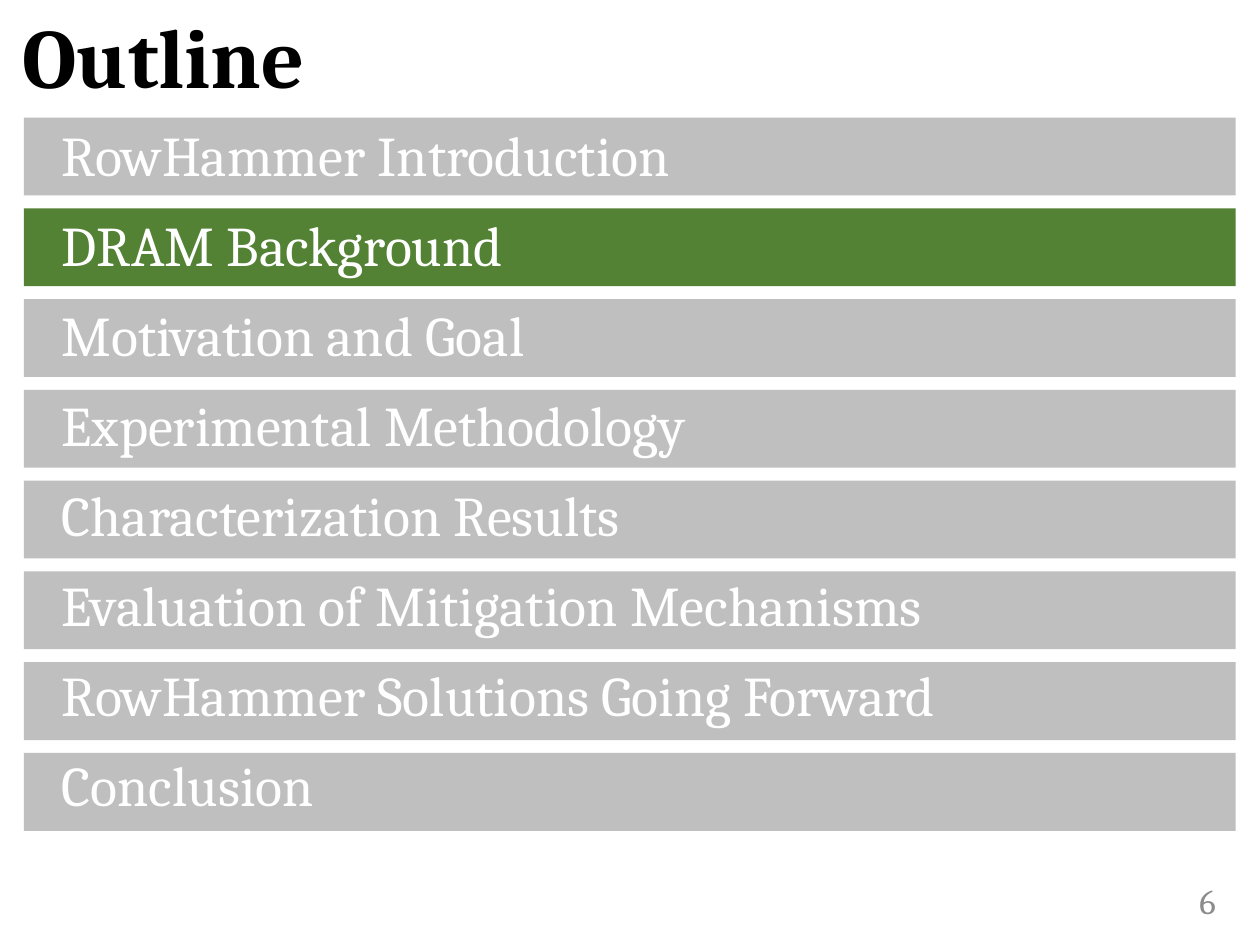
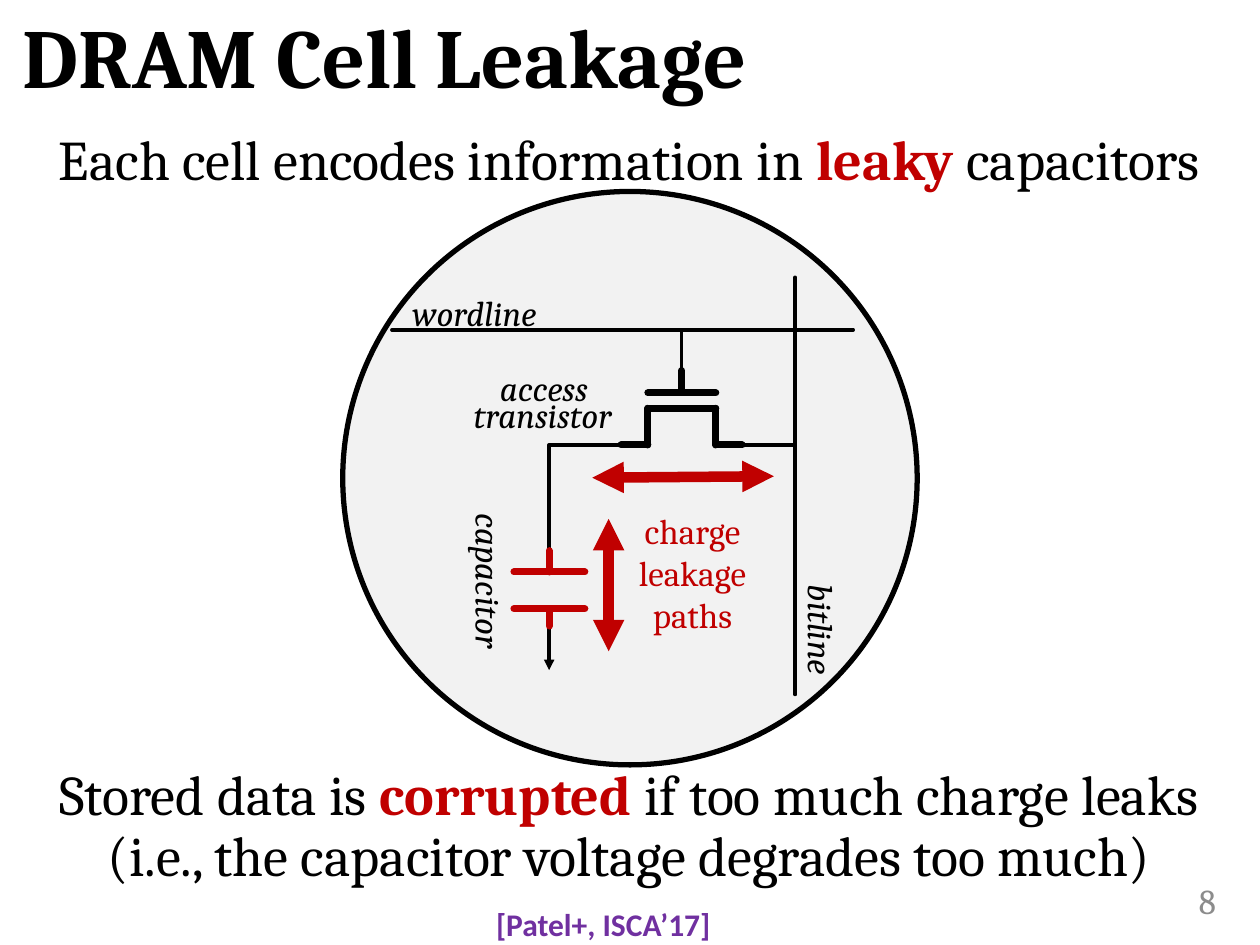
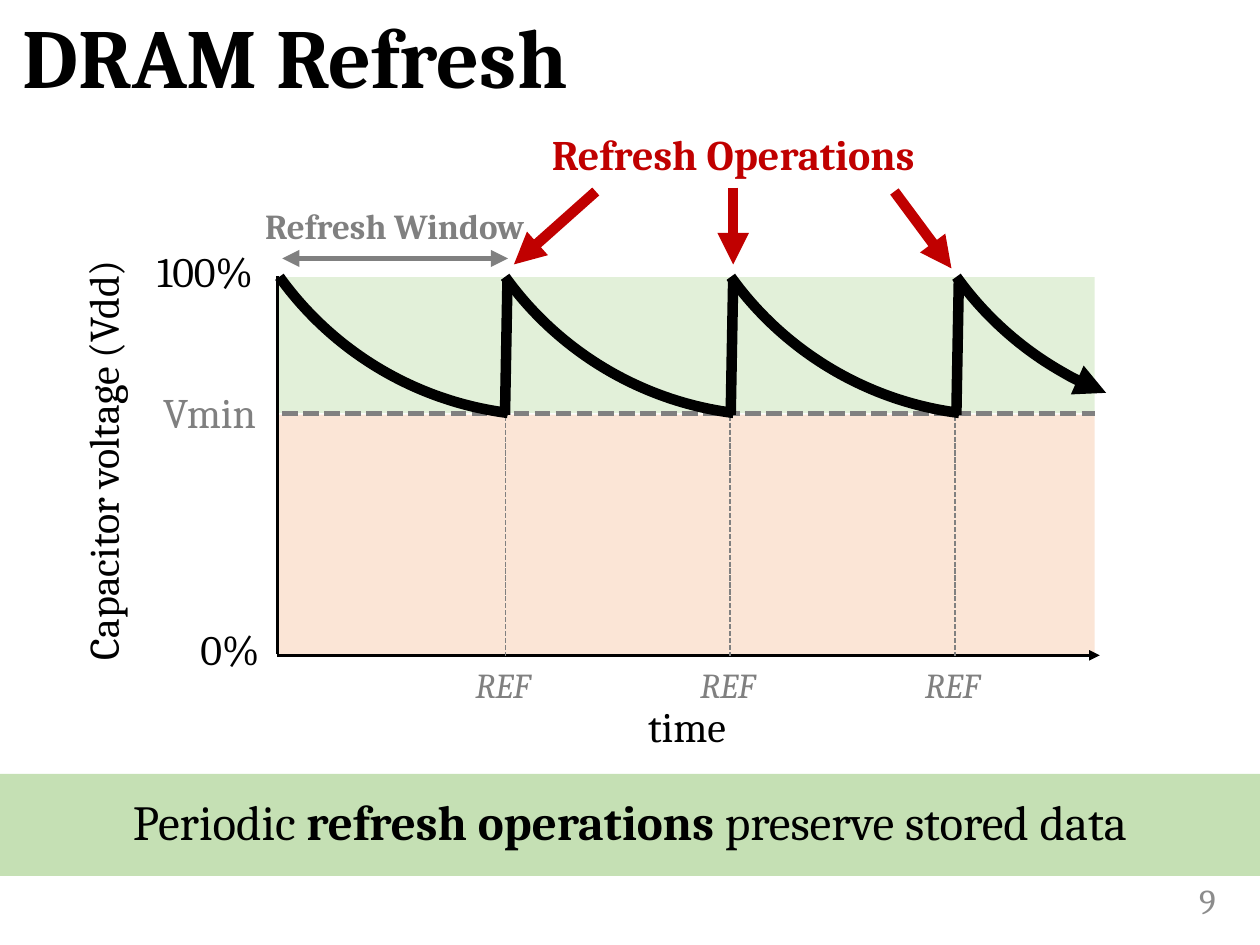
from lxml.etree import SubElement
from pptx import Presentation
from pptx.dml.color import RGBColor
from pptx.enum.dml import MSO_LINE
from pptx.enum.shapes import MSO_CONNECTOR, MSO_SHAPE as SHAPE
from pptx.enum.text import MSO_ANCHOR as ANCHOR, MSO_AUTO_SIZE, PP_ALIGN as ALIGN
from pptx.oxml.ns import qn
from pptx.oxml.xmlchemy import OxmlElement
from pptx.util import Cm, Pt

BLACK = RGBColor(0, 0, 0)
WHITE = RGBColor(255, 255, 255)
RED = RGBColor(0xC0, 0, 0)
PURPLE = RGBColor(0x70, 0x30, 0xA0)
GRAY = RGBColor(0x80, 0x80, 0x80)
NUMBER_GRAY = RGBColor(0x8C, 0x8C, 0x8C)
BAR_GRAY = RGBColor(0xBF, 0xBF, 0xBF)
CIRCLE_GRAY = RGBColor(0xF2, 0xF2, 0xF2)
GREEN = RGBColor(0x53, 0x82, 0x34)
SAFE_GREEN = RGBColor(0xE2, 0xF0, 0xD9)
BAND_GREEN = RGBColor(0xC5, 0xE0, 0xB4)
PEACH = RGBColor(0xFB, 0xE5, 0xD6)


def write(box, text, size, color=BLACK, accent=BLACK, bold=False, italic=False,
          align=ALIGN.CENTER, anchor=ANCHOR.MIDDLE, wrap=False, spacing=1.0,
          gap=0, font="Cambria"):
    frame = box.text_frame
    frame.text = text
    frame.word_wrap = wrap
    frame.auto_size = MSO_AUTO_SIZE.NONE
    frame.vertical_anchor = anchor
    for index, para in enumerate(frame.paragraphs):
        first, *rest = para.text.split("|")
        para.text = first
        for part in rest:
            para.add_run().text = part
        para.alignment = align
        para.line_spacing = spacing
        para.space_before = Pt(gap if index else 0)
        for position, span in enumerate(para.runs):
            emphasized = position % 2 == 1
            span.font.name = font
            span.font.size = Pt(size)
            span.font.bold = bold or emphasized
            span.font.italic = italic
            span.font.color.rgb = accent if emphasized else color


def add_line(page, points, color, width, ends=(), dash=None, cap="flat"):
    line = page.shapes.add_connector(MSO_CONNECTOR.STRAIGHT, *map(Cm, points))
    line.line.color.rgb = color
    line.line.width = Pt(width)
    if dash:
        line.line.dash_style = dash
    outline = line.element.spPr.find(qn("a:ln"))
    outline.set("cap", cap)
    for end in ends:
        SubElement(outline, qn(end)).set("type", "triangle")
    SubElement(line.element.spPr, qn("a:effectLst"))
    return line


deck = Presentation()
deck.slide_width = Cm(25.4)
deck.slide_height = Cm(19.05)

body_level = deck.slide_master.element.find(f".//{qn('p:bodyStyle')}/{qn('a:lvl1pPr')}")
body_level.set("marL", "0")
body_level.set("indent", "0")
body_level.replace(body_level.find(qn("a:buChar")), OxmlElement("a:buNone"))

TAIL = ["a:tailEnd"]
BOTH = ["a:headEnd", "a:tailEnd"]
pages = []
for title, number, layout in [
    ("Outline", "6", 1),
    ("DRAM Cell Leakage", "8", 1),
    ("DRAM Refresh", "9", 5),
]:
    page = deck.slides.add_slide(deck.slide_layouts[layout])
    heading = page.shapes.title
    heading.left, heading.top, heading.width, heading.height = map(Cm, (0.2, 0.2, 24.97, 2.06))
    write(heading, title, 48, bold=True, align=ALIGN.LEFT, anchor=ANCHOR.TOP,
          wrap=True, spacing=0.9)
    box = page.shapes.add_textbox(Cm(22.02), Cm(17.65), Cm(2.74), Cm(1.02))
    write(box, number, 20, NUMBER_GRAY, align=ALIGN.RIGHT, wrap=True)
    pages.append(page)
outline_page, leakage_page, refresh_page = pages

topics = [
    "RowHammer Introduction",
    "DRAM Background",
    "Motivation and Goal",
    "Experimental Methodology",
    "Characterization Results",
    "Evaluation of Mitigation Mechanisms",
    "RowHammer Solutions Going Forward",
    "Conclusion",
]
for row, topic in enumerate(topics):
    bar = outline_page.shapes.add_shape(
        SHAPE.RECTANGLE, Cm(0.48), Cm(2.37 + 1.83 * row), Cm(24.43), Cm(1.57))
    bar.shadow.inherit = False
    bar.fill.solid()
    bar.fill.fore_color.rgb = GREEN if topic == "DRAM Background" else BAR_GRAY
    bar.line.fill.background()
body = outline_page.placeholders[1]
body.left, body.top, body.width, body.height = map(Cm, (0.99, 2.31, 22.56, 14.78))
write(body, "\n".join(topics), 32, WHITE, align=ALIGN.LEFT, anchor=ANCHOR.TOP,
      wrap=True, gap=13)
outline_page.shapes.element.append(body.element)

circle = leakage_page.shapes.add_shape(SHAPE.OVAL, Cm(6.91), Cm(3.86), Cm(11.58), Cm(11.56))
circle.shadow.inherit = False
circle.fill.solid()
circle.fill.fore_color.rgb = CIRCLE_GRAY
circle.line.color.rgb = BLACK
circle.line.width = Pt(3)

body = leakage_page.placeholders[1]
body.left, body.top, body.width, body.height = map(Cm, (0.2, 2.54, 24.97, 1.73))
write(body, "Each cell encodes information in |leaky |capacitors", 32, accent=RED,
      anchor=ANCHOR.TOP, wrap=True, spacing=0.9)
leakage_page.shapes.element.append(body.element)

for name, left, top, width, height, turn in [
    ("wordline", 7.9, 5.77, 3.33, 1.04, 0),
    ("capacitor", 7.8, 11.15, 4.14, 1.12, 90),
    ("access", 8.92, 7.21, 4.09, 1.19, 0),
    ("transistor", 8.92, 7.67, 4.04, 1.37, 0),
    ("bitline", 15.04, 12.14, 3.05, 1.12, 90),
]:
    box = leakage_page.shapes.add_textbox(Cm(left), Cm(top), Cm(width), Cm(height))
    box.rotation = turn
    write(box, name, 20, italic=True)

wires = [
    (17.2, 6.65, 7.9, 6.65),
    (16.03, 14, 16.03, 5.59),
    (13.74, 6.65, 13.74, 7.54),
    (16.03, 8.97, 14.96, 8.97),
]
transistor = [
    (13.74, 7.9, 13.74, 7.47),
    (14.43, 7.92, 13.06, 7.92),
    (14.43, 8.97, 14.43, 8.23),
    (14.43, 8.23, 13.06, 8.23),
    (14.43, 8.97, 14.96, 8.97),
    (12.52, 8.97, 13.06, 8.97),
    (13.06, 8.97, 13.06, 8.23),
]
capacitor = [
    (11.07, 11.53, 11.07, 11.1),
    (11.79, 12.27, 10.36, 12.27),
    (11.79, 11.53, 10.36, 11.53),
    (11.07, 12.62, 11.07, 12.27),
]
builder = leakage_page.shapes.build_freeform(Cm(12.52), Cm(8.97))
builder.add_line_segments([(Cm(11.07), Cm(8.97)), (Cm(11.07), Cm(11.13))], close=False)
cell_wire = builder.convert_to_shape()
cell_wire.shadow.inherit = False
cell_wire.fill.background()
cell_wire.line.color.rgb = BLACK
cell_wire.line.width = Pt(2)
add_line(leakage_page, (11.07, 12.62, 11.07, 13.51), BLACK, 2, TAIL)
for strokes, color, width in [(wires, BLACK, 2), (transistor, BLACK, 4), (capacitor, RED, 4)]:
    for points in strokes:
        add_line(leakage_page, points, color, width, cap="rnd")
for points in [(12.27, 10.46, 12.27, 13.13), (11.94, 9.63, 15.6, 9.6)]:
    add_line(leakage_page, points, RED, 6, BOTH)

box = leakage_page.shapes.add_textbox(Cm(12.55), Cm(10.13), Cm(2.82), Cm(2.82))
write(box, "charge\nleakage\npaths", 20, RED)
box = leakage_page.shapes.add_textbox(Cm(0.2), Cm(15.34), Cm(24.97), Cm(2.95))
write(box, "Stored data is |corrupted |if too much charge leaks "
      "(i.e., the capacitor voltage degrades too much)", 32, accent=RED,
      anchor=ANCHOR.TOP, wrap=True, spacing=0.9)
box = leakage_page.shapes.add_textbox(Cm(9.75), Cm(18.11), Cm(4.88), Cm(1.02))
write(box, "[Patel+, ISCA’17]", 18, PURPLE, bold=True, align=ALIGN.LEFT, font="Calibri")

for left, top, width, height, color in [
    (5.59, 5.59, 16.48, 2.74, SAFE_GREEN),
    (5.59, 8.36, 16.48, 4.83, PEACH),
    (0, 15.6, 25.4, 2.06, BAND_GREEN),
]:
    band = refresh_page.shapes.add_shape(
        SHAPE.RECTANGLE, Cm(left), Cm(top), Cm(width), Cm(height))
    band.shadow.inherit = False
    band.fill.solid()
    band.fill.fore_color.rgb = color
    band.line.fill.background()
write(band, "Periodic |refresh operations |preserve stored data", 28, wrap=True, spacing=0.9)

add_line(refresh_page, (5.69, 8.33, 22.07, 8.33), GRAY, 3, dash=MSO_LINE.SQUARE_DOT)
add_line(refresh_page, (5.59, 13.18, 5.59, 5.56), BLACK, 2)
add_line(refresh_page, (5.59, 13.21, 22.17, 13.21), BLACK, 2, TAIL)
add_line(refresh_page, (5.69, 5.21, 10.24, 5.21), GRAY, 3.25, BOTH)

for text, left, top, width, height, turn, size, color, bold in [
    ("Capacitor voltage (Vdd)", -4.9, 8.69, 13.92, 1.17, 270, 24, BLACK, False),
    ("100%", 2.79, 4.83, 2.69, 1.27, 0, 24, BLACK, False),
    ("0%", 3.76, 12.45, 1.75, 1.27, 0, 24, BLACK, False),
    ("Vmin", 3.02, 7.67, 2.41, 1.27, 0, 24, GRAY, False),
    ("Refresh Window", 5, 3.99, 5.92, 1.12, 0, 20, GRAY, True),
    ("time", 10.19, 14.05, 7.32, 1.17, 0, 24, BLACK, False),
    ("Refresh Operations", 9.99, 2.41, 9.58, 1.37, 0, 24, RED, True),
]:
    box = refresh_page.shapes.add_textbox(Cm(left), Cm(top), Cm(width), Cm(height))
    box.rotation = turn
    write(box, text, size, color, bold=bold)
operations = box

for cycle in range(3):
    ref_x = 10.19 + 4.53 * cycle
    add_line(refresh_page, (ref_x, 8.38, ref_x, 13.23), GRAY, 1, dash=MSO_LINE.SQUARE_DOT)
    box = refresh_page.shapes.add_textbox(Cm(ref_x - 1.13), Cm(13.28), Cm(2.16), Cm(1.04))
    write(box, "REF", 20, GRAY, italic=True)
    peak_x = 10.23 + 4.55 * cycle
    add_line(refresh_page, (peak_x, 5.63, peak_x - 0.05, 8.36), BLACK, 6)

for cycle, lowest_angle in enumerate([97.3, 97.3, 97.3, 111.3]):
    decay = refresh_page.shapes.add_shape(
        SHAPE.ARC, Cm(4.37 + 4.55 * cycle), Cm(-5.06), Cm(13.44), Cm(13.44))
    decay.shadow.inherit = False
    decay.adjustments[0] = lowest_angle * 0.6
    decay.adjustments[1] = 144.3 * 0.6
    decay.fill.background()
    decay.line.color.rgb = BLACK
    decay.line.width = Pt(6)
SubElement(decay.element.spPr.find(qn("a:ln")), qn("a:headEnd")).set("type", "triangle")

add_line(refresh_page, (12.01, 3.86, 10.36, 5.33), RED, 6, TAIL)
middle_arrow = add_line(refresh_page, (14.78, 3.78, 14.78, 5.33), RED, 6, TAIL)
middle_arrow.begin_connect(operations, 2)
add_line(refresh_page, (18.03, 3.86, 19.18, 5.41), RED, 6, TAIL)

deck.save("out.pptx")
